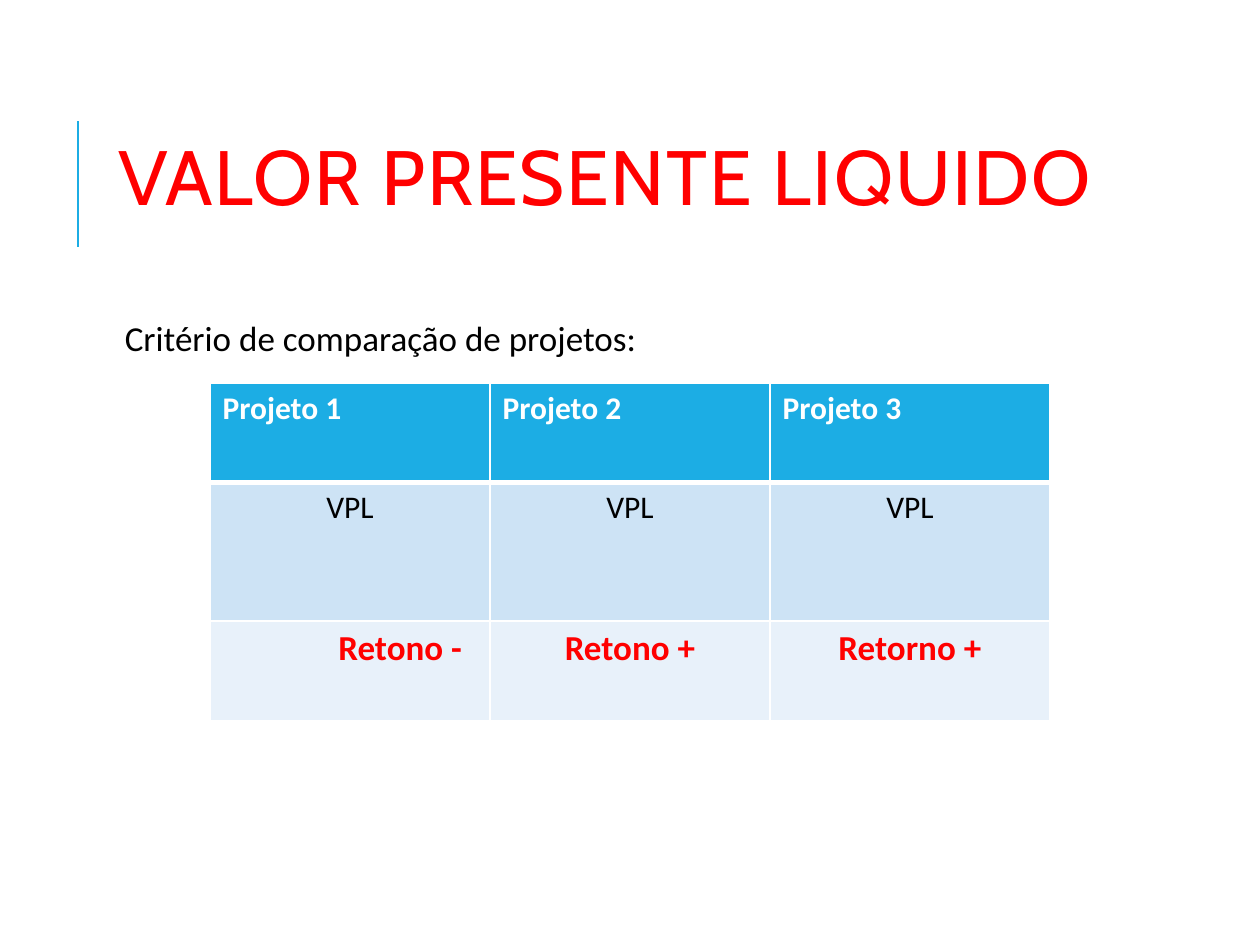
from pptx import Presentation
from pptx.dml.color import RGBColor
from pptx.enum.shapes import MSO_CONNECTOR
from pptx.enum.text import MSO_ANCHOR, PP_ALIGN
from pptx.oxml import parse_xml
from pptx.oxml.ns import nsdecls
from pptx.util import Pt

BLUE, RED, BLACK, WHITE = "1CADE4", "FF0000", "000000", "FFFFFF"
HEADS = ["Projeto 1", "Projeto 2", "Projeto 3"]
RETURNS = ["Retono -", "Retono +", "Retorno +"]
ROWS = [
    (HEADS, 56.8, BLUE, 18, WHITE, True, PP_ALIGN.LEFT),
    (["VPL"] * 3, 79.2, "CDE3F5", 18, BLACK, False, PP_ALIGN.CENTER),
    (RETURNS, 56.8, "E8F1FA", 20, RED, True, PP_ALIGN.CENTER),
]


def color(code):
    """Turn a hex string into a colour."""
    return RGBColor.from_string(code)


def style(para, size, tint, face="Calibri", bold=False):
    """Set the font of a paragraph."""
    font = para.font
    font.name, font.size, font.bold = face, Pt(size), bold
    font.color.rgb = color(tint)


def add_text(slide, box, text):
    """Add a wrapping text box and return its frame and paragraph."""
    frame = slide.shapes.add_textbox(*map(Pt, box)).text_frame
    frame.word_wrap = True
    para = frame.paragraphs[0]
    para.text = text
    return frame, para


def add_title(slide, box):
    """Draw the title with the rule on its left."""
    left, top, _, height = box
    x, mid = left - 16, top + height / 2
    rule = slide.shapes.add_connector(
        MSO_CONNECTOR.STRAIGHT, Pt(x), Pt(mid + 36), Pt(x), Pt(mid - 36))
    rule.line.color.rgb = color(BLUE)
    rule.line.width = Pt(1.5)
    rule._element.spPr.append(parse_xml(f"<a:effectLst {nsdecls('a')}/>"))
    frame, para = add_text(slide, box, "VALOR PRESENTE LIQUIDO")
    frame.vertical_anchor = MSO_ANCHOR.MIDDLE
    para.line_spacing = 0.8
    style(para, 44, RED, "Cabin")
    para.runs[0].font._element.set("spc", "100")


def add_body(slide, box):
    """Write the line that leads into the table."""
    frame, para = add_text(slide, box, "Critério de comparação de projetos:")
    frame.margin_left = Pt(10.8)
    frame.margin_top = frame.margin_right = frame.margin_bottom = Pt(3.6)
    para.line_spacing = 0.9
    style(para, 20, BLACK)


def add_edges(cell, over, under):
    """Give a cell white borders, with the top and bottom widths in points."""
    props = cell._tc.get_or_add_tcPr()
    for side, width in zip("LRTB", (1, 1, over, under)):
        props.append(parse_xml(
            f'<a:ln{side} {nsdecls("a")} w="{Pt(width)}"><a:solidFill>'
            f'<a:srgbClr val="{WHITE}"/></a:solidFill></a:ln{side}>'))


def add_grid(slide, box):
    """Draw the table that compares the projects."""
    table = slide.shapes.add_table(len(ROWS), len(HEADS), *map(Pt, box)).table
    for col in table.columns:
        col.width = Pt(box[2] / len(HEADS))
    for i, (texts, height, fill, size, tint, bold, align) in enumerate(ROWS):
        table.rows[i].height = Pt(height)
        for j, text in enumerate(texts):
            cell = table.cell(i, j)
            add_edges(cell, 3 if i == 1 else 1, 3 if i == 0 else 1)
            cell.fill.solid()
            cell.fill.fore_color.rgb = color(fill)
            cell.text = text
            para = cell.text_frame.paragraphs[0]
            para.alignment = align
            style(para, size, tint, bold=bold)
    first = table.cell(2, 0)
    first.margin_right = Pt(16)
    first.text_frame.paragraphs[0].alignment = PP_ALIGN.RIGHT


def main():
    """Build and save the slide."""
    deck = Presentation()
    deck.slide_width, deck.slide_height = Pt(720), Pt(540)
    slide = deck.slides.add_slide(deck.slide_layouts[6])
    add_title(slide, (60.5, 46, 574, 118))
    add_body(slide, (60.5, 180, 574, 317))
    add_grid(slide, (120, 219, 480, 192.8))
    deck.save("out.pptx")


if __name__ == "__main__":
    main()
